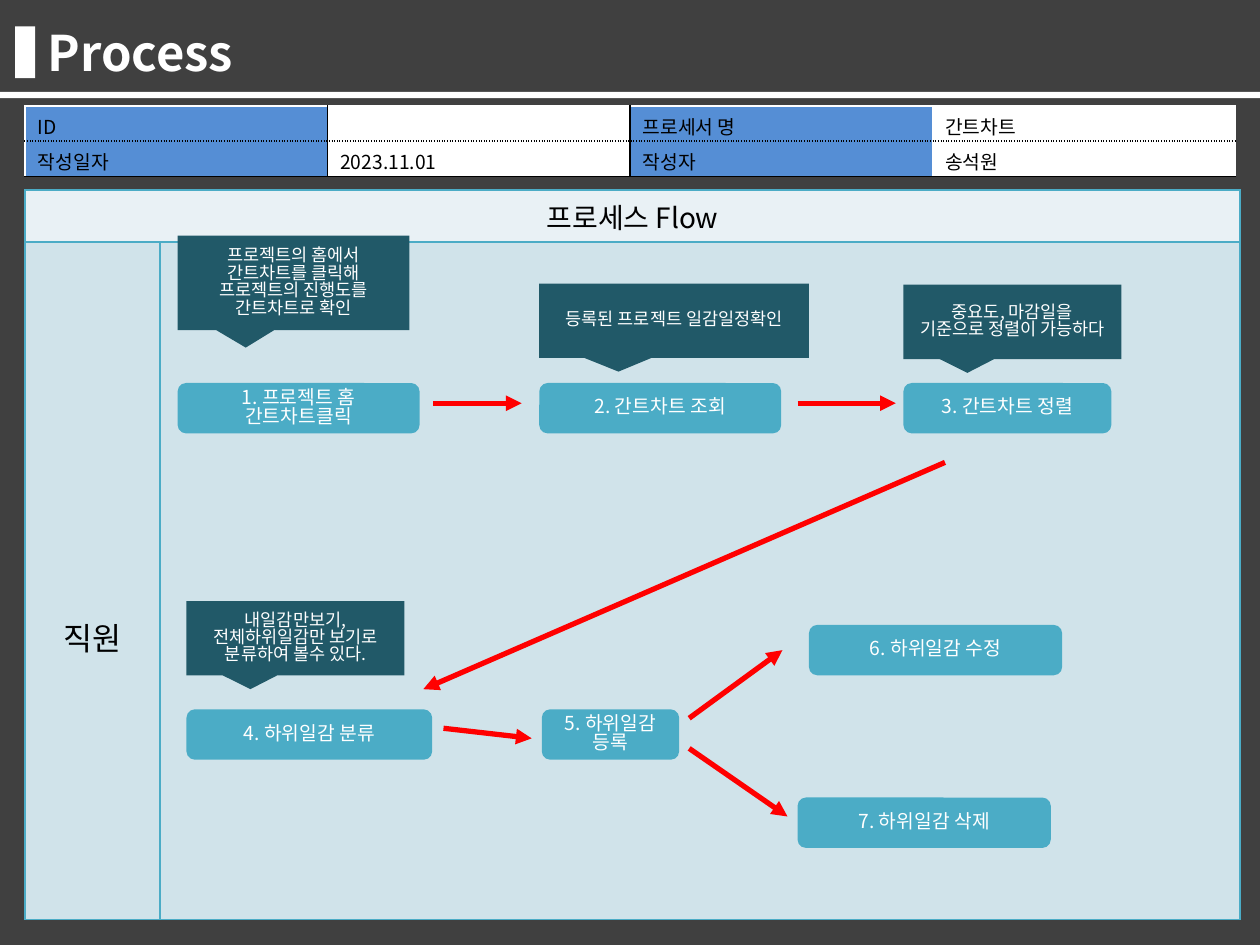
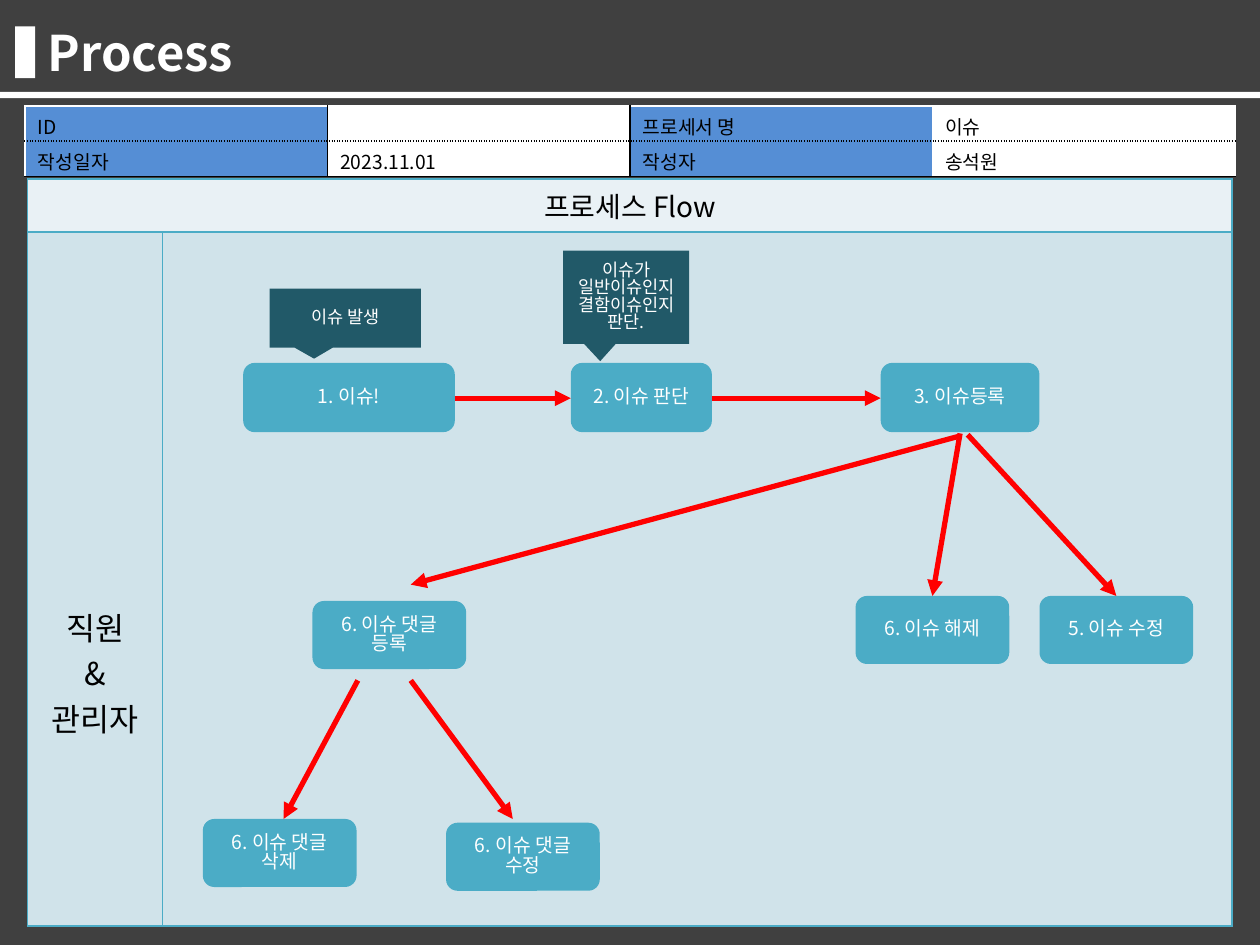
from dataclasses import dataclass

from lxml import etree
from pptx import Presentation
from pptx.dml.color import RGBColor
from pptx.enum.shapes import MSO_CONNECTOR, MSO_SHAPE
from pptx.enum.text import MSO_ANCHOR, PP_ALIGN
from pptx.oxml.ns import qn
from pptx.util import Inches, Pt

RECT, ROUND = MSO_SHAPE.RECTANGLE, MSO_SHAPE.ROUNDED_RECTANGLE
CALLOUT = MSO_SHAPE.RECTANGULAR_CALLOUT
STRAIGHT = MSO_CONNECTOR.STRAIGHT
LEFT, CENTER = PP_ALIGN.LEFT, PP_ALIGN.CENTER
TOP, MIDDLE = MSO_ANCHOR.TOP, MSO_ANCHOR.MIDDLE
TITLE_ONLY = 5


@dataclass(frozen=True)
class Theme:
    font: str = "Noto Sans CJK KR"
    dark: str = "404040"
    white: str = "FFFFFF"
    black: str = "000000"
    label: str = "558ED5"
    step: str = "4BACC6"
    note: str = "215968"
    head: str = "E9F1F5"
    lane: str = "D0E3EA"
    arrow: str = "FF0000"
    title_size: int = 28
    lane_size: int = 18
    head_size: int = 16
    step_size: int = 11
    note_size: int = 10


T = Theme()


def rgb(color):
    return RGBColor.from_string(color)


def write(tf, text, size=T.step_size, color=T.black, bold=False,
          align=LEFT, spacing=None):
    """Fill a text frame, one paragraph per line of text."""
    tf.word_wrap = True
    for i, line in enumerate(text.split("\n")):
        p = tf.paragraphs[0] if i == 0 else tf.add_paragraph()
        p.text = line
        p.alignment = align
        if spacing:
            p.line_spacing = spacing
        for r in p.runs:
            r.font.name, r.font.size, r.font.bold = T.font, Pt(size), bold
            r.font.color.rgb = rgb(color)
            etree.SubElement(r._r.get_or_add_rPr(), qn("a:ea"), typeface=T.font)
        if not p.runs:  # keeps an empty cell as low as its row
            etree.SubElement(p._p, qn("a:endParaRPr"), sz=str(size * 100))


def set_borders(cell, **edges):
    """Edges L, R, T, B, each a (color, dash) pair."""
    tcPr = cell._tc.get_or_add_tcPr()
    for i, side in enumerate("LRTB"):
        color, dash = edges[side]
        ln = etree.Element(qn("a:ln" + side), w=str(Pt(1)))
        fill = etree.SubElement(ln, qn("a:solidFill"))
        etree.SubElement(fill, qn("a:srgbClr"), val=color)
        etree.SubElement(ln, qn("a:prstDash"), val=dash)
        tcPr.insert(i, ln)


class ProcessDeck:
    def __init__(self):
        self.prs = Presentation()
        self.prs.slide_width, self.prs.slide_height = Inches(10), Inches(7.5)
        fill = self.prs.slide_master.background.fill
        fill.solid()
        fill.fore_color.rgb = rgb(T.dark)

    def new_slide(self, title):
        self.s = self.prs.slides.add_slide(self.prs.slide_layouts[TITLE_ONLY])
        sp = self.s.shapes.title
        sp.left, sp.top = Inches(0.28), Inches(0.13)
        sp.width, sp.height = Inches(8.98), Inches(0.57)
        tf = sp.text_frame
        tf.vertical_anchor = MIDDLE
        tf.margin_top = tf.margin_bottom = 0
        write(tf, title, size=T.title_size, color=T.white, bold=True)
        # Title marker and rule
        self.shape(RECT, 0.12, 0.21, 0.16, 0.41, T.white)
        self.shape(RECT, 0, 0.73, 10, 0.05, T.white)

    def shape(self, kind, x, y, w, h, fill):
        sp = self.s.shapes.add_shape(kind, Inches(x), Inches(y), Inches(w), Inches(h))
        sp.shadow.inherit = False
        sp.fill.solid()
        sp.fill.fore_color.rgb = rgb(fill)
        sp.line.fill.background()
        return sp

    def label(self, sp, text, size):
        sp.text_frame.vertical_anchor = MIDDLE
        write(sp.text_frame, text, size=size, color=T.white, align=CENTER, spacing=0.83)

    def step(self, text, x, y, w, h):
        sp = self.shape(ROUND, x, y, w, h, T.step)
        sp.adjustments[0] = 0.167
        self.label(sp, text, T.step_size)

    def note(self, text, x, y, w, h):
        sp = self.shape(CALLOUT, x, y, w, h, T.note)
        sp.adjustments[0], sp.adjustments[1] = -0.206, 0.685
        self.label(sp, text, T.note_size)

    def arrow(self, x1, y1, x2, y2):
        c = self.s.shapes.add_connector(
            STRAIGHT, Inches(x1), Inches(y1), Inches(x2), Inches(y2))
        c.line.color.rgb = rgb(T.arrow)
        c.line.width = Pt(3)
        etree.SubElement(c.line._get_or_add_ln(), qn("a:tailEnd"), type="triangle")
        etree.SubElement(c._element.spPr, qn("a:effectLst"))

    def table(self, x, y, widths, heights):
        frame = self.s.shapes.add_table(
            len(heights), len(widths), Inches(x), Inches(y),
            Inches(sum(widths)), Inches(sum(heights)))
        table = frame.table
        table.first_row = table.horz_banding = False
        for col, w in zip(table.columns, widths):
            col.width = Inches(w)
        for row, h in zip(table.rows, heights):
            row.height = Inches(h)
        return table

    def cell(self, cell, text, fill, top=0.05, **fmt):
        cell.fill.solid()
        cell.fill.fore_color.rgb = rgb(fill)
        cell.vertical_anchor = TOP
        cell.margin_top, cell.margin_bottom = Inches(top), 0
        write(cell.text_frame, text, **fmt)

    def info_table(self, name):
        rows = [["ID ", "", "프로세서 명", name],
                ["작성일자", "2023.11.01", "작성자", "송석원"]]
        table = self.table(0.2, 0.84, [2.4] * 4, [0.28] * 2)
        white, black = (T.white, "solid"), (T.black, "solid")
        across = [white, (T.black, "sysDot"), black]
        down = [white, black, black, white, white]
        for i, row in enumerate(rows):
            for j, text in enumerate(row):
                cell = table.cell(i, j)
                self.cell(cell, text, T.white if j % 2 else T.label)
                set_borders(cell, L=down[j], R=down[j + 1],
                            T=across[i], B=across[i + 1])

    def flow_table(self, actor, x, y, widths, heights):
        table = self.table(x, y, widths, heights)
        table.cell(0, 0).merge(table.cell(0, 1))
        self.cell(table.cell(0, 0), "프로세스 Flow", T.head,
                  size=T.head_size, align=CENTER)
        self.cell(table.cell(1, 0), actor, T.lane, top=2.95,
                  size=T.lane_size, align=CENTER)
        self.cell(table.cell(1, 1), "", T.lane)
        edge = (T.step, "solid")
        for cell in table.iter_cells():
            set_borders(cell, L=edge, R=edge, T=edge, B=edge)

    def flow(self, steps, notes, arrows):
        for args in steps:
            self.step(*args)
        for args in notes:
            self.note(*args)
        for args in arrows:
            self.arrow(*args)


deck = ProcessDeck()

# Slide 1: Gantt chart process
deck.new_slide("Process")
deck.info_table("간트차트")
deck.flow_table("직원", 0.2, 1.51, [1.07, 8.57], [0.41, 5.38])
row1, row2, h = 3.04, 5.63, 0.4
deck.flow(
    steps=[
        ("1. 프로젝트 홈 간트차트클릭", 1.41, row1, 1.92, h),
        ("2. 간트차트 조회", 4.28, row1, 1.92, h),
        ("3. 간트차트 정렬", 7.17, row1, 1.65, h),
        ("4. 하위일감 분류", 1.48, row2, 1.95, h),
        ("5. 하위일감 등록", 4.3, row2, 1.09, h),
        ("6. 하위일감 수정", 6.42, 4.96, 2.01, h),
        ("7. 하위일감 삭제", 6.33, 6.33, 2.01, h),
    ],
    notes=[
        ("프로젝트의 홈에서 간트차트를 클릭해 프로젝트의 진행도를 간트차트로 확인",
         1.41, 1.87, 1.84, 0.75),
        ("등록된 프로젝트 일감일정확인", 4.28, 2.25, 2.14, 0.59),
        ("중요도, 마감일을\v기준으로 정렬이 가능하다", 7.17, 2.26, 1.73, 0.59),
        ("내일감만보기, 전체하위일감만 보기로 분류하여 볼수 있다.",
         1.48, 4.77, 1.73, 0.59),
    ],
    arrows=[
        (3.44, 3.2, 4.14, 3.2),
        (6.33, 3.2, 7.11, 3.2),
        (7.5, 3.67, 3.36, 5.47),
        (3.52, 5.78, 4.22, 5.86),
        (5.47, 5.7, 6.21, 5.16),
        (5.47, 5.94, 6.25, 6.48),
    ])

# Slide 2: issue process
deck.new_slide("Process")
deck.flow_table("직원\n&\n관리자", 0.22, 1.42, [1.07, 8.49], [0.42, 5.51])
deck.info_table("이슈")
row1, row2, mid = 2.88, 4.73, 3.16
w, h = 1.22, 0.54
deck.flow(
    steps=[
        ("1. 이슈!", 1.93, row1, 1.68, 0.55),
        ("2. 이슈 판단", 4.53, row1, 1.12, 0.55),
        ("3. 이슈등록", 6.99, row1, 1.26, 0.55),
        ("5. 이슈 수정", 8.25, row2, w, h),
        ("6. 이슈 해제", 6.79, row2, w, h),
        ("6. 이슈 댓글 등록", 2.48, 4.77, w, h),
        ("6. 이슈 댓글 수정", 3.54, 6.53, w, h),
        ("6. 이슈 댓글 삭제", 1.61, 6.5, w, h),
    ],
    notes=[
        ("이슈 발생", 2.14, 2.29, 1.2, 0.47),
        ("이슈가 일반이슈인지 결함이슈인지 판단.", 4.47, 1.99, 1, 0.74),
    ],
    arrows=[
        (3.61, mid, 4.53, mid),
        (5.65, mid, 6.99, mid),
        (7.68, 3.45, 8.86, row2),
        (7.62, 3.44, 7.4, row2),
        (7.62, 3.46, 3.26, 4.64),
        (2.84, 5.4, 2.25, 6.5),
        (3.26, 5.4, 4.07, 6.5),
    ])

deck.prs.save("out.pptx")
